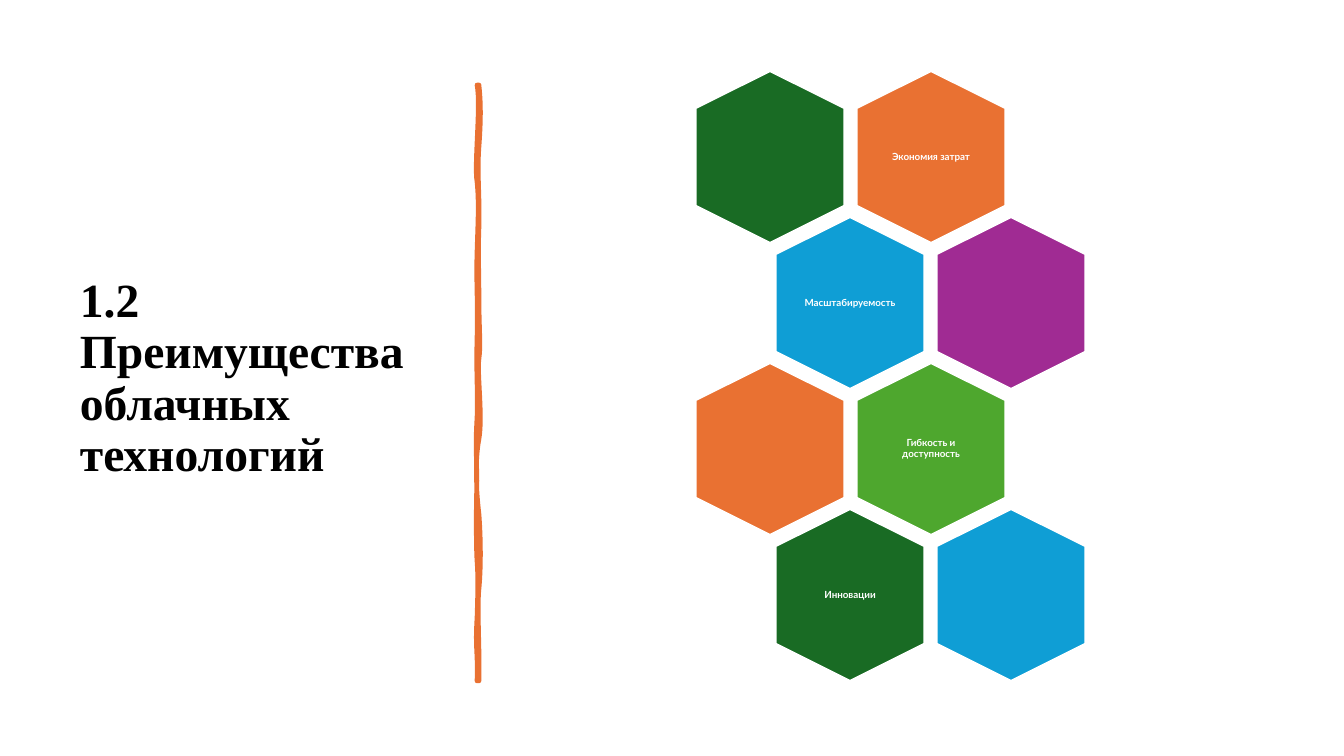
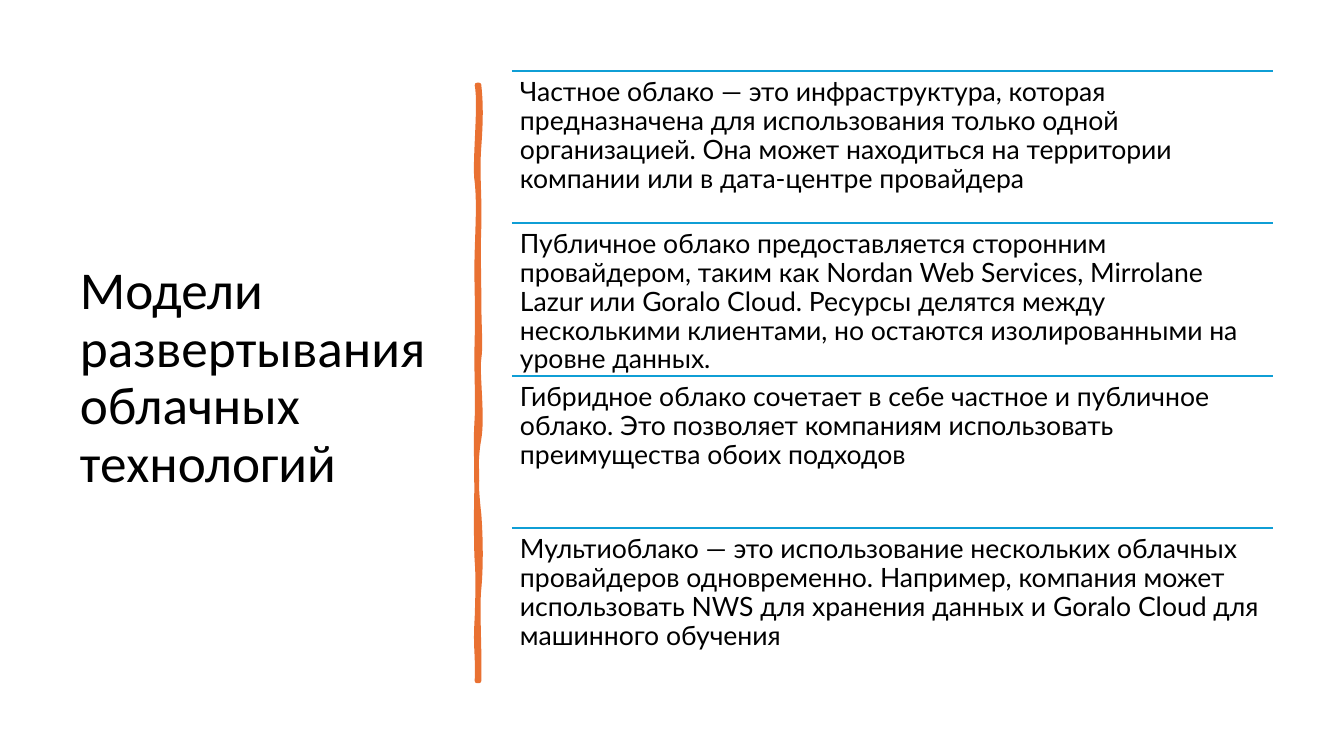
"""Build two slides on the benefits and deployment models of cloud technologies."""
from dataclasses import dataclass

from lxml import etree
from pptx import Presentation
from pptx.dml.color import RGBColor
from pptx.enum.shapes import MSO_CONNECTOR, MSO_SHAPE
from pptx.enum.text import MSO_ANCHOR, PP_ALIGN
from pptx.oxml.ns import qn
from pptx.util import Emu, Pt

HEXAGON = MSO_SHAPE.HEXAGON
STRAIGHT = MSO_CONNECTOR.STRAIGHT
TOP, MIDDLE = MSO_ANCHOR.TOP, MSO_ANCHOR.MIDDLE
LEFT, CENTER = PP_ALIGN.LEFT, PP_ALIGN.CENTER


@dataclass(frozen=True)
class Theme:
    black: RGBColor = RGBColor.from_string("000000")
    white: RGBColor = RGBColor.from_string("FFFFFF")
    orange: RGBColor = RGBColor.from_string("E97132")
    dark_green: RGBColor = RGBColor.from_string("196B24")
    green: RGBColor = RGBColor.from_string("4EA72E")
    blue: RGBColor = RGBColor.from_string("0F9ED5")
    purple: RGBColor = RGBColor.from_string("A02B93")
    body_font: str = "Lato"
    body_size: int = 19
    label_size: int = 7
    rule_width: float = 1.5
    brush_width: float = 3.25
    line_spacing: float = 0.9


theme = Theme()
SLIDE_WIDTH, SLIDE_HEIGHT = 1344, 756
EMU_PER_PX = 12192000 / SLIDE_WIDTH


def px(length):
    return Emu(round(length * EMU_PER_PX))


def add_text(slide, box, text, font, size, color, bold=False,
             anchor=MIDDLE, align=LEFT, insets=(10, 5)):
    shape = slide.shapes.add_textbox(*map(px, box))
    frame = shape.text_frame
    frame.word_wrap = True
    frame.vertical_anchor = anchor
    frame.margin_left = frame.margin_right = px(insets[0])
    frame.margin_top = frame.margin_bottom = px(insets[1])
    paragraph = frame.paragraphs[0]
    paragraph.alignment = align
    paragraph.line_spacing = theme.line_spacing
    run = paragraph.add_run()
    run.text = text
    run.font.name = font
    run.font.size = Pt(size)
    run.font.bold = bold
    run.font.color.rgb = color


TITLE_BOX = (70, 71, 377, 616)
TITLES = [
    ("1.2 Преимущества облачных технологий", "Times New Roman", 34, True),
    ("Модели развертывания облачных технологий", "Calibri", 38, False),
]

BRUSH_START = (479, 85)
BRUSH_CURVES = [
    (481, 103), (481, 120), (479, 147),
    (477, 174), (480, 197), (479, 228),
    (478, 259), (479, 264), (479, 296),
    (479, 328), (481, 345), (479, 359),
    (477, 373), (483, 417), (479, 439),
    (475, 461), (476, 488), (479, 514),
    (481, 540), (481, 569), (479, 589),
    (477, 608), (480, 655), (479, 681),
    (478, 681), (477, 681), (477, 681),
    (478, 651), (475, 649), (477, 618),
    (478, 588), (478, 575), (477, 561),
    (476, 548), (476, 499), (477, 481),
    (477, 463), (475, 449), (477, 418),
    (478, 389), (476, 376), (477, 338),
    (478, 300), (476, 283), (477, 252),
    (478, 220), (479, 202), (477, 182),
    (474, 164), (481, 105), (477, 85),
]

presentation = Presentation()
presentation.slide_width = px(SLIDE_WIDTH)
presentation.slide_height = px(SLIDE_HEIGHT)
blank_layout = presentation.slide_layouts[6]

for title, font, size, bold in TITLES:
    slide = presentation.slides.add_slide(blank_layout)
    add_text(slide, TITLE_BOX, title, font, size, theme.black, bold)

    builder = slide.shapes.build_freeform(*BRUSH_START, scale=EMU_PER_PX)
    builder.add_line_segments(BRUSH_CURVES, close=True)
    brush = builder.convert_to_shape()
    brush.shadow.inherit = False
    brush.fill.solid()
    brush.fill.fore_color.rgb = theme.orange
    brush.line.color.rgb = theme.orange
    brush.line.width = Pt(theme.brush_width)
    properties = brush._element.spPr
    etree.SubElement(properties.find(qn("a:ln")), qn("a:round"))
    segments = list(properties.iter(qn("a:lnTo")))[:len(BRUSH_CURVES)]
    for index, segment in enumerate(segments):
        if index % 3 == 0:
            curve = etree.Element(qn("a:cubicBezTo"))
            segment.addprevious(curve)
        curve.append(segment[0])
        segment.getparent().remove(segment)

benefits_slide, models_slide = presentation.slides

HEXAGON_LENGTH, HEXAGON_BREADTH = 172, 149
FIRST_CENTER_X, FIRST_CENTER_Y = 770, 157
COLUMN_PITCH, ROW_PITCH, ROW_SHIFT = 161, 146, 80
LABEL_WIDTH, LABEL_HEIGHT = 103, 118
HEXAGON_ROWS = [
    [(theme.dark_green, ""), (theme.orange, "Экономия затрат")],
    [(theme.blue, "Масштабируемость"), (theme.purple, "")],
    [(theme.orange, ""), (theme.green, "Гибкость и доступность")],
    [(theme.dark_green, "Инновации"), (theme.blue, "")],
]

for row, cells in enumerate(HEXAGON_ROWS):
    center_y = FIRST_CENTER_Y + row * ROW_PITCH
    for column, (color, label) in enumerate(cells):
        center_x = FIRST_CENTER_X + row % 2 * ROW_SHIFT + column * COLUMN_PITCH
        hexagon = benefits_slide.shapes.add_shape(
            HEXAGON,
            px(center_x - HEXAGON_LENGTH / 2), px(center_y - HEXAGON_BREADTH / 2),
            px(HEXAGON_LENGTH), px(HEXAGON_BREADTH))
        hexagon.rotation = 90
        hexagon.shadow.inherit = False
        hexagon.fill.solid()
        hexagon.fill.fore_color.rgb = color
        hexagon.line.color.rgb = theme.white
        hexagon.line.width = Pt(theme.rule_width)
        if label:
            label_box = (center_x - LABEL_WIDTH / 2, center_y - LABEL_HEIGHT / 2,
                         LABEL_WIDTH, LABEL_HEIGHT)
            add_text(benefits_slide, label_box, label, theme.body_font,
                     theme.label_size, theme.white, bold=True,
                     align=CENTER, insets=(3, 3))

LIST_LEFT, LIST_TOP, LIST_WIDTH, LIST_HEIGHT = 512, 71, 761, 610
MODELS = [
    "Частное облако — это инфраструктура, которая предназначена для использования "
    "только одной организацией. Она может находиться на территории компании или "
    "в дата-центре провайдера",
    "Публичное облако предоставляется сторонним провайдером, таким как Nordan Web "
    "Services, Mirrolane Lazur или Goralo Cloud. Ресурсы делятся между несколькими "
    "клиентами, но остаются изолированными на уровне данных.",
    "Гибридное облако сочетает в себе частное и публичное облако. Это позволяет "
    "компаниям использовать преимущества обоих подходов",
    "Мультиоблако — это использование нескольких облачных провайдеров одновременно. "
    "Например, компания может использовать NWS для хранения данных и Goralo Cloud "
    "для машинного обучения",
]

for row, model in enumerate(MODELS):
    top = LIST_TOP + row * LIST_HEIGHT // len(MODELS)
    rule = models_slide.shapes.add_connector(
        STRAIGHT, px(LIST_LEFT), px(top), px(LIST_LEFT + LIST_WIDTH), px(top))
    rule.line.color.rgb = theme.blue
    rule.line.width = Pt(theme.rule_width)
    etree.SubElement(rule._element.spPr, qn("a:effectLst"))
    model_box = (LIST_LEFT, top, LIST_WIDTH, LIST_HEIGHT // len(MODELS))
    add_text(models_slide, model_box, model, theme.body_font, theme.body_size,
             theme.black, anchor=TOP, insets=(8, 8))

presentation.save("out.pptx")
